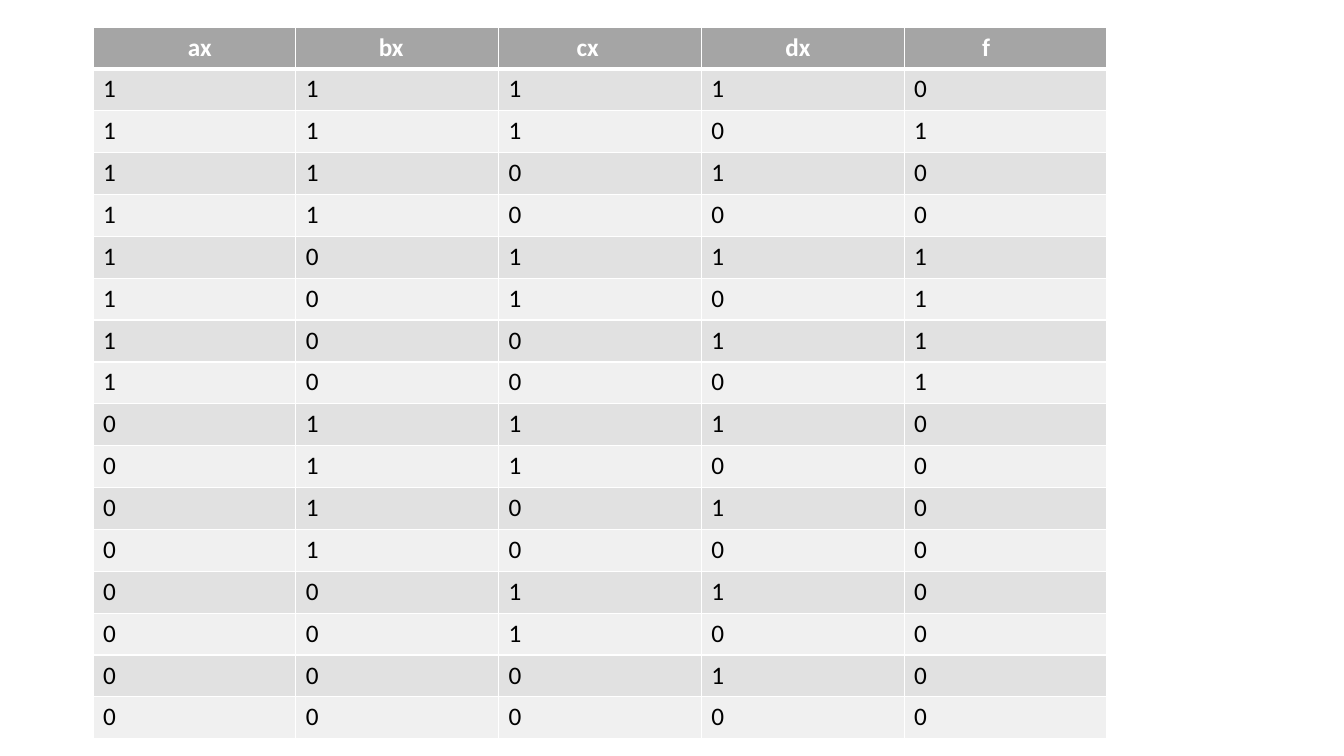
from itertools import product

from lxml import etree
from pptx import Presentation
from pptx.dml.color import RGBColor
from pptx.oxml.ns import qn
from pptx.util import Pt

EMU_PER_PIXEL = 914400 / 100.8
COLORS = {
    "header": "A5A5A5",
    "odd_row": "E1E1E1",
    "even_row": "F0F0F0",
    "border": "FFFFFF",
    "header_text": "FFFFFF",
    "body_text": "000000",
}
HEADERS = ["ax", "bx", "cx", "dx", "f"]
HEADER_INSETS = [95, 83, 78, 84, 78]
OUTPUTS = "0100111100000000"


def pixels(length):
    return round(length * EMU_PER_PIXEL)


def add_borders(cell, widths):
    properties = cell._tc.get_or_add_tcPr()
    for position, (side, width) in enumerate(widths.items()):
        line = etree.Element(qn(f"a:ln{side}"), w=str(Pt(width)))
        fill = etree.SubElement(line, qn("a:solidFill"))
        etree.SubElement(fill, qn("a:srgbClr"), val=COLORS["border"])
        properties.insert(position, line)


presentation = Presentation()
presentation.slide_width = pixels(1344)
presentation.slide_height = pixels(756)
slide = presentation.slides.add_slide(presentation.slide_layouts[6])

inputs = product("10", repeat=4)
rows = [HEADERS] + [[*values, output] for values, output in zip(inputs, OUTPUTS)]
truth_table = slide.shapes.add_table(
    len(rows), len(HEADERS), pixels(93), pixels(27), pixels(1014), pixels(712)
).table

for row_index, row in enumerate(rows):
    is_header = row_index == 0
    if is_header:
        fill_name = "header"
    else:
        fill_name = "odd_row" if row_index % 2 else "even_row"
    text_name = "header_text" if is_header else "body_text"
    top_width = 3 if row_index == 1 else 1
    bottom_width = 3 if is_header else 1

    for column_index, text in enumerate(row):
        cell = truth_table.cell(row_index, column_index)
        cell.fill.solid()
        cell.fill.fore_color.rgb = RGBColor.from_string(COLORS[fill_name])
        add_borders(cell, {"L": 1, "R": 1, "T": top_width, "B": bottom_width})
        if is_header:
            cell.margin_left = pixels(HEADER_INSETS[column_index])

        run = cell.text_frame.paragraphs[0].add_run()
        run.text = text
        run.font.name = "Calibri"
        run.font.size = Pt(18)
        run.font.bold = is_header
        run.font.color.rgb = RGBColor.from_string(COLORS[text_name])

presentation.save("out.pptx")
